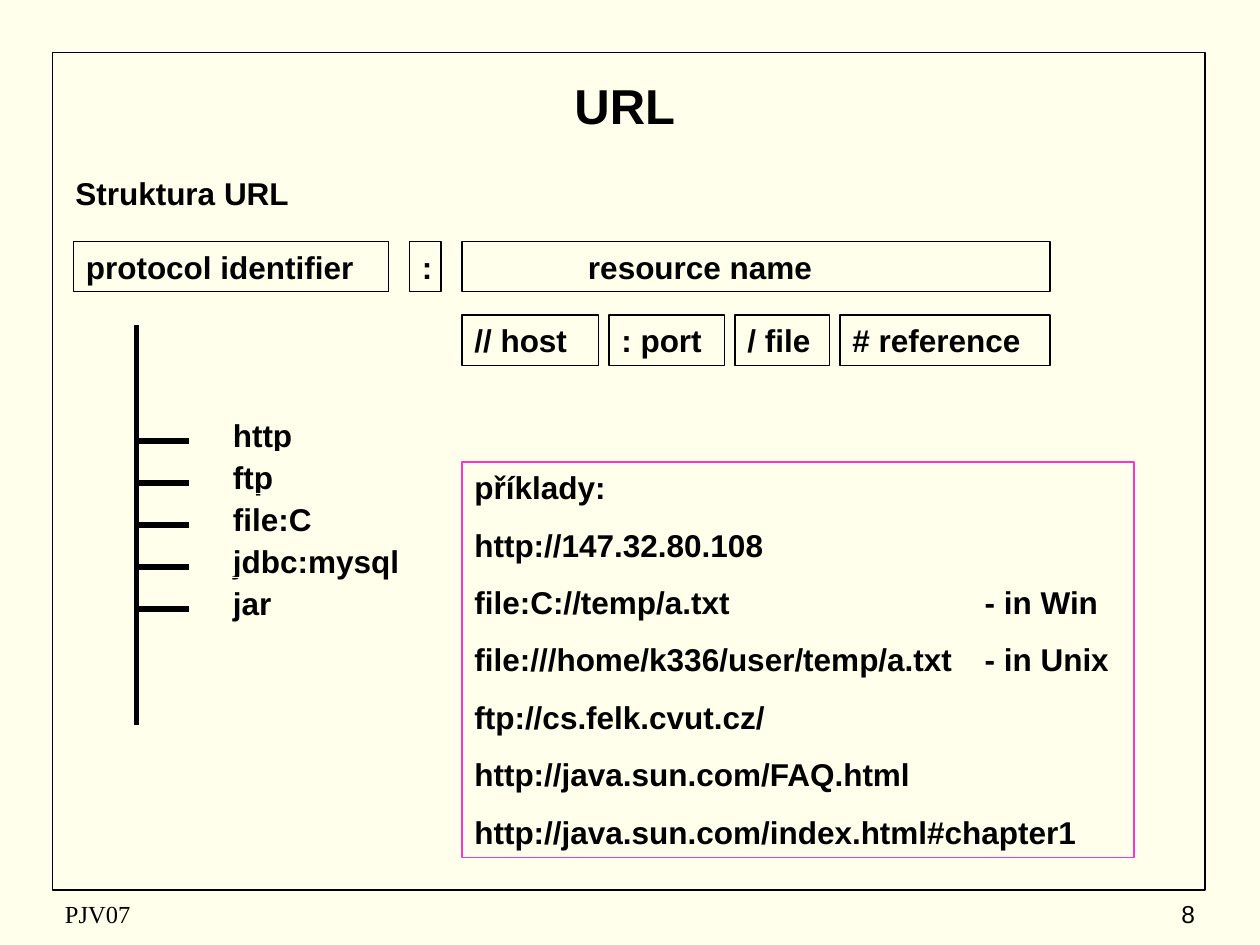
import dataclasses

import pptx
import pptx.dml.color
import pptx.enum.shapes
import pptx.enum.text
import pptx.oxml.ns
import pptx.util
from lxml import etree

ALIGN = pptx.enum.text.PP_ALIGN
ANCHOR = pptx.enum.text.MSO_ANCHOR
AUTO_SIZE = pptx.enum.text.MSO_AUTO_SIZE


@dataclasses.dataclass(frozen=True)
class Theme:
    paper: str = "FFFFEB"
    ink: str = "000000"
    accent: str = "FF33CC"
    sans: str = "Arial"
    serif: str = "Times New Roman"
    title: float = 28
    body: float = 18
    footer: float = 14
    paragraph_gap: float = 11.2
    thin: float = 0.75
    frame: float = 1
    thick: float = 3


@dataclasses.dataclass(frozen=True)
class Box:
    """A region in grid cells; twelve columns or rows make an inch."""
    col: float
    row: float
    cols: float
    rows: float

    def inner(self, col, row, cols, rows):
        return Box(self.col + col, self.row + row, cols, rows)

    def lengths(self):
        return [cells(n) for n in (self.col, self.row, self.cols, self.rows)]


THEME = Theme()
LINE_ROWS = 4.8  # height of a box holding one body line


def cells(count):
    return pptx.util.Inches(count / 12)


def rgb(value):
    return pptx.dml.color.RGBColor.from_string(value)


def write(shape, lines, size=THEME.body, font=THEME.sans, bold=True,
          align=ALIGN.LEFT, anchor=ANCHOR.TOP):
    frame = shape.text_frame
    frame.word_wrap = True
    frame.vertical_anchor = anchor
    frame.text = "\n".join(lines)
    for index, paragraph in enumerate(frame.paragraphs):
        paragraph.alignment = align
        paragraph.space_before = pptx.util.Pt(THEME.paragraph_gap if index else 0)
        paragraph.font.size = pptx.util.Pt(size)
        paragraph.font.name = font
        paragraph.font.bold = bold
        paragraph.font.color.rgb = rgb(THEME.ink)


def add_text(slide, box, text, **style):
    write(slide.shapes.add_textbox(*box.lengths()), [text], **style)


def add_box(slide, box, lines=(), line=THEME.ink, width=THEME.thin, fill=None):
    shape = slide.shapes.add_shape(
        pptx.enum.shapes.MSO_SHAPE.RECTANGLE, *box.lengths())
    shape.shadow.inherit = False
    if fill:
        shape.fill.solid()
        shape.fill.fore_color.rgb = rgb(fill)
    else:
        shape.fill.background()
    shape.line.color.rgb = rgb(line)
    shape.line.width = pptx.util.Pt(width)
    if lines:
        write(shape, lines)
        shape.text_frame.auto_size = AUTO_SIZE.SHAPE_TO_FIT_TEXT
    return shape


def add_line(slide, start, end):
    line = slide.shapes.add_connector(
        pptx.enum.shapes.MSO_CONNECTOR.STRAIGHT,
        *[cells(n) for n in (*start, *end)])
    line.line.color.rgb = rgb(THEME.ink)
    line.line.width = pptx.util.Pt(THEME.thick)
    etree.SubElement(line._element.spPr, pptx.oxml.ns.qn("a:effectLst"))


def add_tab_stop(paragraph, inches):
    properties = paragraph._p.get_or_add_pPr()
    stops = etree.Element(pptx.oxml.ns.qn("a:tabLst"))
    etree.SubElement(stops, pptx.oxml.ns.qn("a:tab"),
                     pos=str(pptx.util.Inches(inches)), algn="l")
    properties.find(pptx.oxml.ns.qn("a:defRPr")).addprevious(stops)


def heading(slide, box):
    add_text(slide, box.inner(0, 0, box.cols, 8), "URL", size=THEME.title,
             align=ALIGN.CENTER, anchor=ANCHOR.MIDDLE)
    add_text(slide, box.inner(0, 10, 47, LINE_ROWS), "Struktura URL")


def url_structure(slide, box):
    add_box(slide, box.inner(0, 0, 30, LINE_ROWS), ["protocol identifier"])
    add_box(slide, box.inner(32, 0, 3, LINE_ROWS), [":"])
    resource = add_box(slide, box.inner(37, 0, 56, LINE_ROWS), ["resource name"])
    resource.text_frame.margin_left = cells(12)

    col = 37
    for name, cols in (("// host", 13), (": port", 11),
                       ("/ file", 9), ("# reference", 20)):
        add_box(slide, box.inner(col, 7, cols, LINE_ROWS), [name])
        col += cols + 1


def protocol_tree(slide, box):
    """Draw a trunk with one branch and label per protocol."""
    add_line(slide, (box.col, box.row), (box.col, box.row + box.rows))
    protocols = (("http", 11, THEME.paper), ("ftp", 11, THEME.paper),
                 ("file:C", 11, None), ("jdbc:mysql", 21, None),
                 ("jar", 11, None))
    for index, (name, cols, fill) in enumerate(protocols):
        step = 11 + 4 * index
        row = box.row + step
        add_line(slide, (box.col, row), (box.col + 5, row))
        add_box(slide, box.inner(8, step - 3, cols, LINE_ROWS), [name],
                line=THEME.paper, fill=fill)


def examples(slide, box):
    panel = add_box(slide, box, [
        "příklady:",
        "http://147.32.80.108",
        "file:C://temp/a.txt\t- in Win",
        "file:///home/k336/user/temp/a.txt\t- in Unix",
        "ftp://cs.felk.cvut.cz/",
        "http://java.sun.com/FAQ.html",
        "http://java.sun.com/index.html#chapter1",
    ], line=THEME.accent, fill=THEME.paper)
    for paragraph in panel.text_frame.paragraphs:
        if "\t" in paragraph.text:
            add_tab_stop(paragraph, 4.05)


def footer(slide, box):
    style = dict(size=THEME.footer, bold=False, anchor=ANCHOR.MIDDLE)
    add_text(slide, box.inner(0, 0, 38, box.rows), "PJV07",
             font=THEME.serif, **style)
    add_text(slide, box.inner(box.cols - 25, 0, 25, box.rows), "8",
             align=ALIGN.RIGHT, **style)


def main():
    deck = pptx.Presentation()
    deck.slide_width, deck.slide_height = cells(120), cells(90)
    slide = deck.slides.add_slide(deck.slide_layouts[6])
    slide.background.fill.solid()
    slide.background.fill.fore_color.rgb = rgb(THEME.paper)

    add_box(slide, Box(5, 5, 109.8, 79.8), width=THEME.frame)
    heading(slide, Box(6, 6, 107, 15))
    url_structure(slide, Box(7, 23, 93, 12))
    protocol_tree(slide, Box(13, 31, 29, 38))
    examples(slide, Box(44, 44, 64, 37.7))
    footer(slide, Box(5, 85, 110, 4))
    deck.save("out.pptx")


if __name__ == "__main__":
    main()
